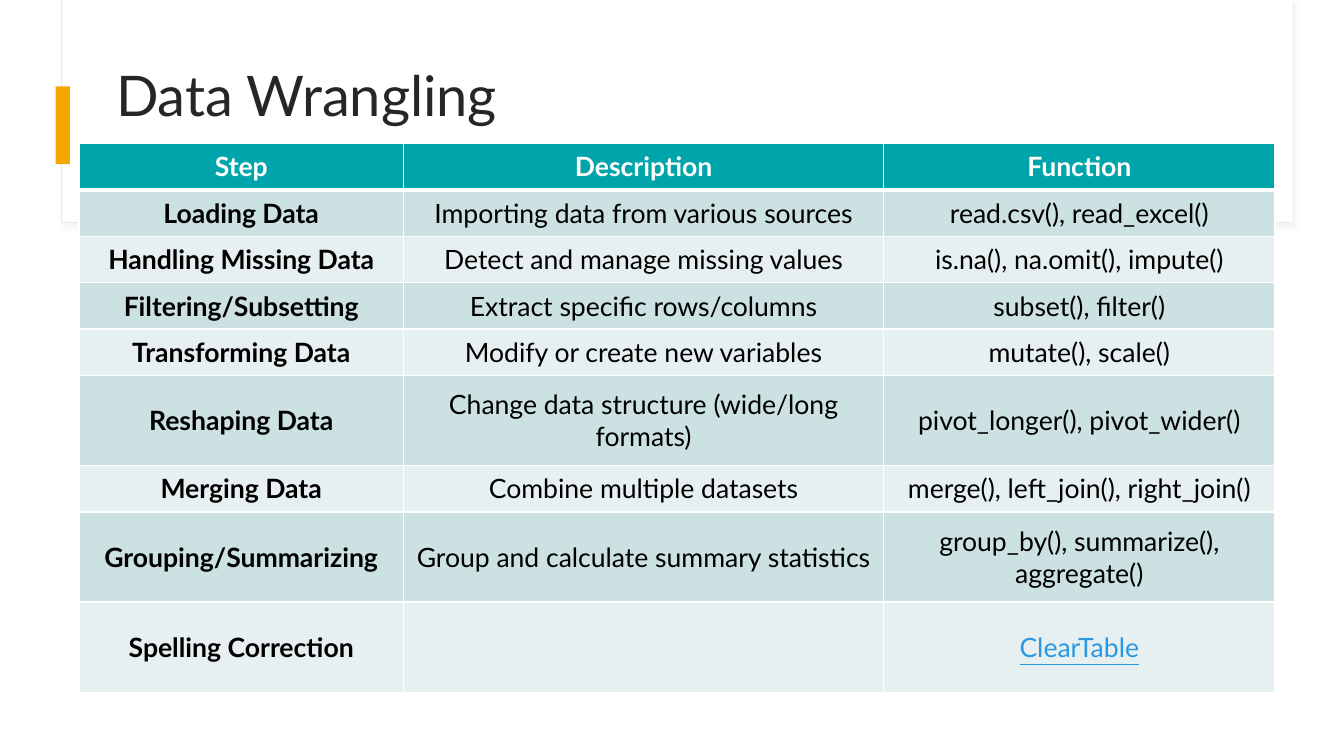
import pptx
import pptx.dml.color
import pptx.enum.shapes
import pptx.enum.text
import pptx.oxml
import pptx.oxml.ns
import pptx.util
from lxml import etree

Cm, Pt = pptx.util.Cm, pptx.util.Pt
RGBColor = pptx.dml.color.RGBColor
PP_ALIGN = pptx.enum.text.PP_ALIGN
MIDDLE = pptx.enum.text.MSO_ANCHOR.MIDDLE
RECTANGLE = pptx.enum.shapes.MSO_SHAPE.RECTANGLE
qn = pptx.oxml.ns.qn

# Content
TITLE = "Data Wrangling"
HEADINGS = ("Step", "Description", "Function")
STEPS = [
    ("Loading Data", "Importing data from various sources", "read.csv(), read_excel()"),
    ("Handling Missing Data", "Detect and manage missing values", "is.na(), na.omit(), impute()"),
    ("Filtering/Subsetting", "Extract specific rows/columns", "subset(), filter()"),
    ("Transforming Data", "Modify or create new variables", "mutate(), scale()"),
    ("Reshaping Data", "Change data structure (wide/long formats)",
     "pivot_longer(), pivot_wider()"),
    ("Merging Data", "Combine multiple datasets", "merge(), left_join(), right_join()"),
    ("Grouping/Summarizing", "Group and calculate summary statistics",
     "group_by(), summarize(), aggregate()"),
    ("Spelling Correction", "", "ClearTable"),
]
TOOL = "ClearTable"
TALL_STEPS = ("Reshaping Data", "Grouping/Summarizing", "Spelling Correction")

# Look
FONT = "Lato"
WHITE = RGBColor(0xFF, 0xFF, 0xFF)
BLACK = RGBColor(0, 0, 0)
TITLE_GREY = RGBColor(0x26, 0x26, 0x26)
EDGE_GREY = RGBColor(0xE9, 0xE9, 0xE9)
SHADOW_GREY = RGBColor(0xD9, 0xD9, 0xD9)
AMBER = RGBColor(0xF5, 0xA7, 0x00)
TEAL = RGBColor(0x00, 0xA5, 0xAB)
BANDS = (RGBColor(0xCC, 0xE1, 0xE2), RGBColor(0xE7, 0xF0, 0xF1))
LINK_BLUE = RGBColor(0x29, 0x98, 0xE3)

# Measures in centimetres
COLUMN_WIDTHS = (8.18, 12.1, 9.86)
ROW_HEIGHT, TALL_ROW_HEIGHT = 1.17, 2.27
TABLE_LEFT, TABLE_TOP = 1.99, 3.61


def write(frame, text, *, size, color, align, bold=False, underline=False, spacing=None):
    paragraph = frame.paragraphs[0]
    paragraph.alignment = align
    paragraph.line_spacing = spacing
    run = paragraph.add_run()
    run.text = text
    font = run.font
    font.name, font.size, font.bold = FONT, Pt(size), bold
    font.underline = underline
    font.color.rgb = color


def add_panel(slide, left, top, width, height, fill, line=None):
    panel = slide.shapes.add_shape(RECTANGLE, Cm(left), Cm(top), Cm(width), Cm(height))
    panel.shadow.inherit = False
    panel.fill.solid()
    panel.fill.fore_color.rgb = fill
    if line is None:
        panel.line.fill.background()
    else:
        panel.line.color.rgb = line
        panel.line.width = Pt(0.75)
    return panel


def add_shadow(panel):
    effects = panel.element.spPr.find(qn("a:effectLst"))
    shadow = etree.SubElement(effects, qn("a:outerShdw"), blurRad=str(Pt(4)),
                              dist=str(Pt(3)), dir=str(45 * 60000), rotWithShape="0")
    color = etree.SubElement(shadow, qn("a:srgbClr"), val=str(SHADOW_GREY))
    etree.SubElement(color, qn("a:alpha"), val="30000")


def add_borders(cell, top, bottom):
    properties = cell._tc.get_or_add_tcPr()
    for side, width in (("L", 1), ("R", 1), ("T", top), ("B", bottom)):
        line = etree.SubElement(properties, qn("a:ln" + side), w=str(Pt(width)))
        fill = etree.SubElement(line, qn("a:solidFill"))
        etree.SubElement(fill, qn("a:srgbClr"), val=str(WHITE))


def add_steps_table(slide):
    rows = [HEADINGS] + STEPS
    heights = [TALL_ROW_HEIGHT if row[0] in TALL_STEPS else ROW_HEIGHT for row in rows]
    table = slide.shapes.add_table(
        len(rows), len(HEADINGS), Cm(TABLE_LEFT), Cm(TABLE_TOP),
        Cm(sum(COLUMN_WIDTHS)), Cm(sum(heights))).table
    for column, width in zip(table.columns, COLUMN_WIDTHS):
        column.width = Cm(width)
    for r, (row, height) in enumerate(zip(rows, heights)):
        table.rows[r].height = Cm(height)
        header = r == 0
        for c, text in enumerate(row):
            cell = table.cell(r, c)
            add_borders(cell, top=3 if r == 1 else 1, bottom=3 if header else 1)
            cell.fill.solid()
            cell.fill.fore_color.rgb = TEAL if header else BANDS[(r - 1) % 2]
            cell.margin_left = cell.margin_right = cell.margin_top = cell.margin_bottom = 0
            cell.vertical_anchor = MIDDLE
            if text:
                is_tool = text == TOOL
                color = WHITE if header else LINK_BLUE if is_tool else BLACK
                write(cell.text_frame, text, size=19, color=color, align=PP_ALIGN.CENTER,
                      bold=header or c == 0, underline=is_tool)


def main():
    deck = pptx.Presentation()
    deck.slide_width, deck.slide_height = Cm(33.87), Cm(19.05)
    slide = deck.slides.add_slide(deck.slide_layouts[5])
    slide.background.fill.solid()
    slide.background.fill.fore_color.rgb = WHITE

    # Title panel with its shadow and accent bar
    add_shadow(add_panel(slide, 1.55, 0, 31.01, 5.61, WHITE, line=EDGE_GREY))
    add_panel(slide, 1.57, 0, 30.99, 5.59, WHITE)
    add_panel(slide, 1.4, 2.18, 0.36, 1.96, AMBER)

    # Title, brought in front of the panel
    title = slide.shapes.title
    title.element.getparent().append(title.element)
    title.left, title.top, title.width, title.height = Cm(2.67), Cm(1.37), Cm(29.39), Cm(2.24)
    title.text_frame.vertical_anchor = MIDDLE
    title.text_frame.word_wrap = True
    write(title.text_frame, TITLE, size=40, color=TITLE_GREY, align=PP_ALIGN.LEFT, spacing=0.9)

    # Table of steps
    add_steps_table(slide)

    deck.save("out.pptx")


if __name__ == "__main__":
    main()
